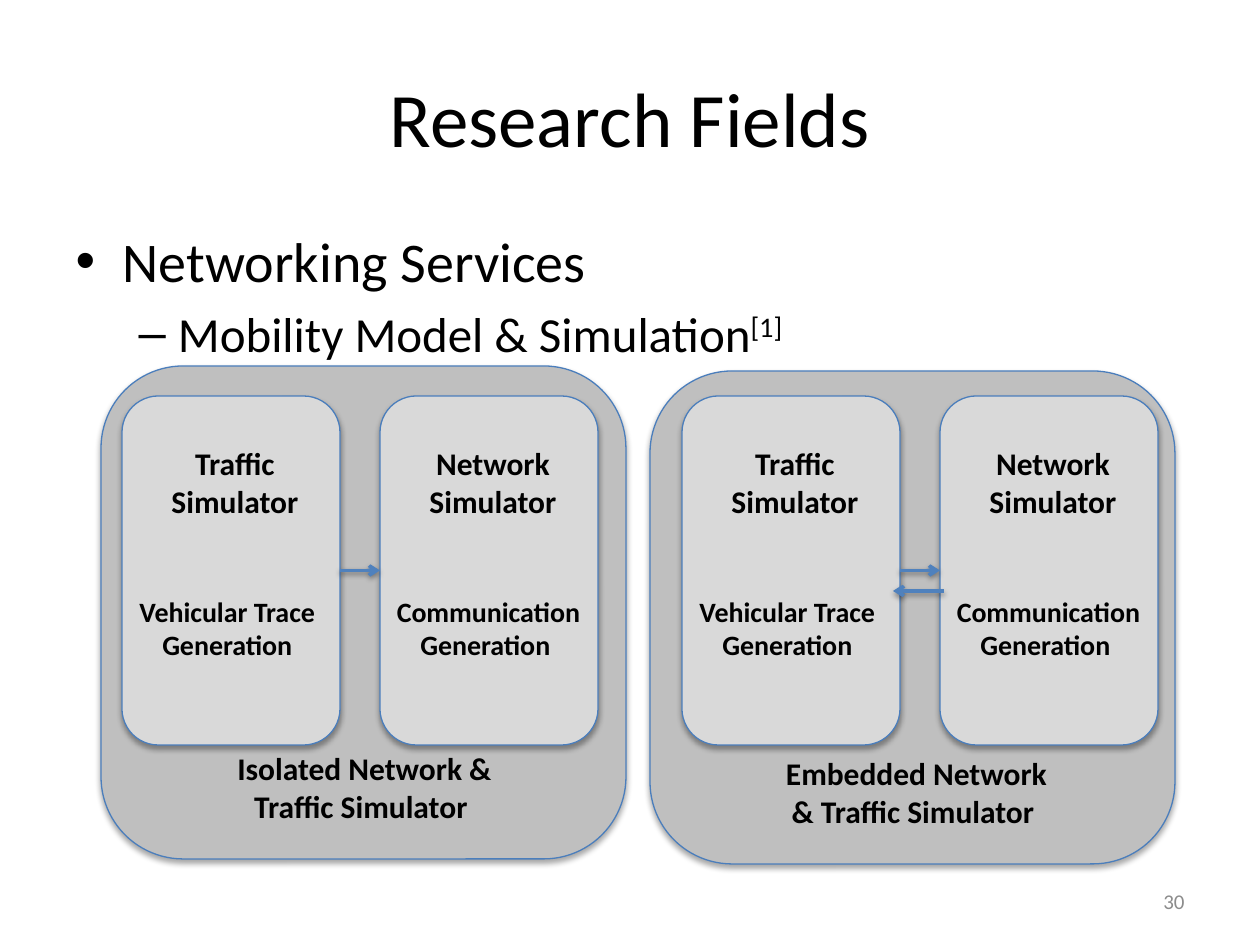
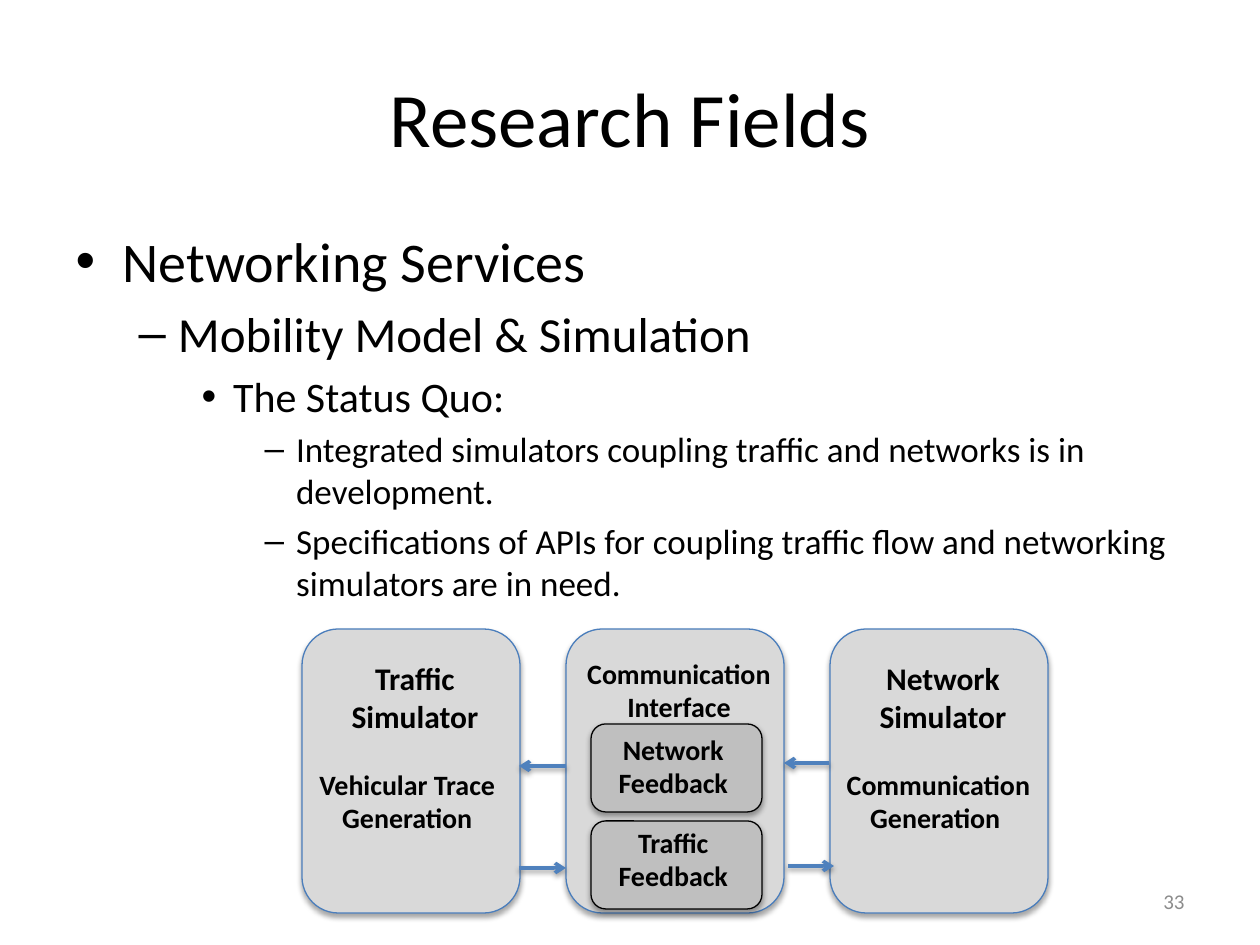
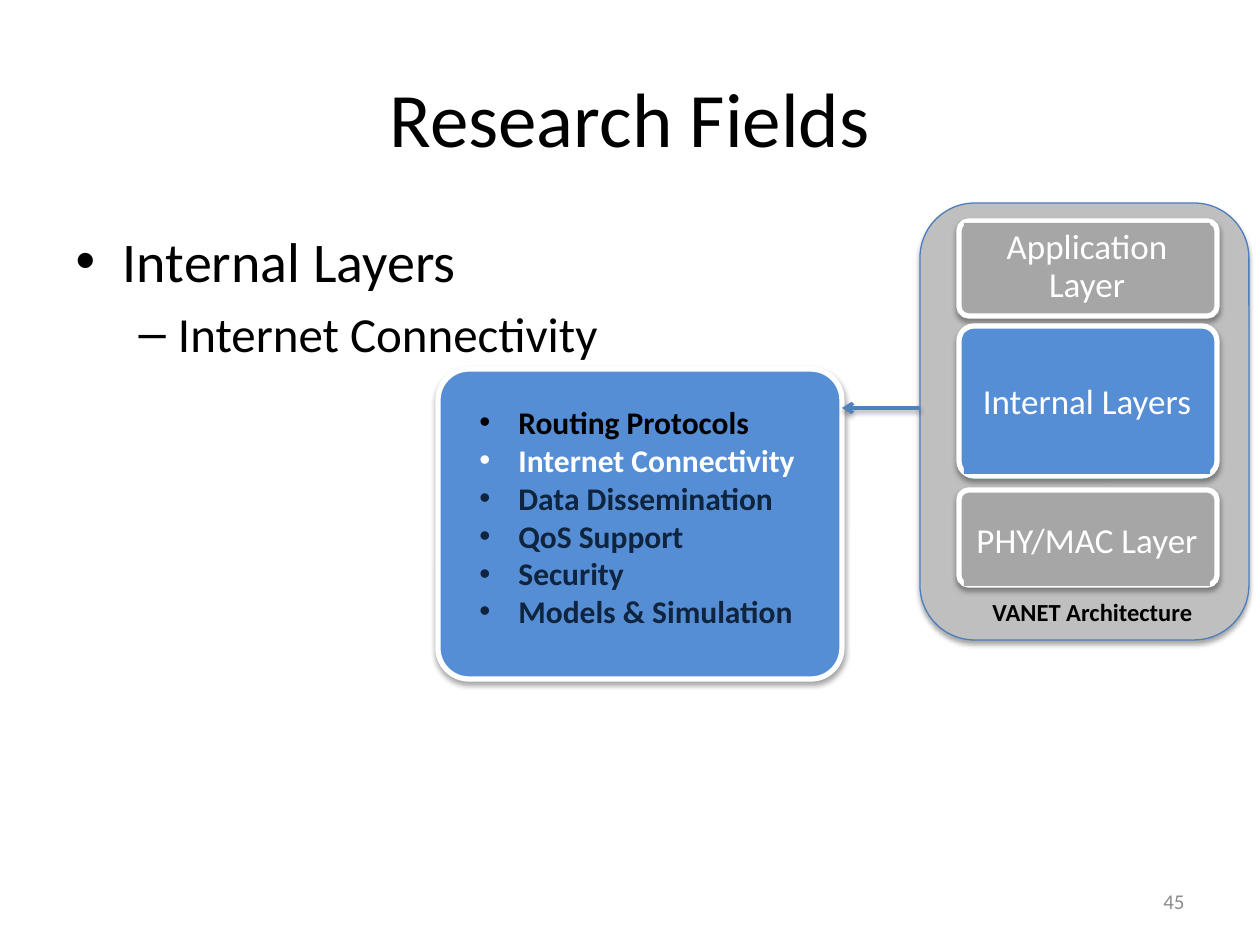
from lxml import etree
from pptx import Presentation
from pptx.dml.color import RGBColor
from pptx.enum.shapes import MSO_CONNECTOR, MSO_SHAPE
from pptx.enum.text import MSO_ANCHOR, PP_ALIGN
from pptx.oxml.ns import qn
from pptx.util import Emu, Pt

RECT, ROUNDED = MSO_SHAPE.RECTANGLE, MSO_SHAPE.ROUNDED_RECTANGLE
STRAIGHT = MSO_CONNECTOR.STRAIGHT
MIDDLE = MSO_ANCHOR.MIDDLE
LEFT, CENTER, RIGHT = PP_ALIGN.LEFT, PP_ALIGN.CENTER, PP_ALIGN.RIGHT
LEFT_SIDE, RIGHT_SIDE = 1, 3

BLACK = RGBColor(0x00, 0x00, 0x00)
WHITE = RGBColor(0xFF, 0xFF, 0xFF)
NAVY = RGBColor(0x0F, 0x24, 0x3E)
BLUE = RGBColor(0x55, 0x8E, 0xD5)
OUTLINE = RGBColor(0x4B, 0x7E, 0xBC)
ARROW = RGBColor(0x4F, 0x81, 0xBD)
PANEL_GRAY = RGBColor(0xBF, 0xBF, 0xBF)
CARD_GRAY = RGBColor(0xD9, 0xD9, 0xD9)
LAYER_GRAY = RGBColor(0xA6, 0xA6, 0xA6)
NUMBER_GRAY = RGBColor(0x8C, 0x8C, 0x8C)

FONT = "Calibri"
PX_PER_INCH = 126
TITLE_BOX = (63, 38, 1134, 158)
BODY_BOX = (63, 220, 1134, 624)
NUMBER_BOX = (903, 876, 294, 50)
BODY_SIZES = (32, 28, 24, 20)
CARD_WIDTH = 218


def px(n):
    return Emu(round(n * 914400 / PX_PER_INCH))


def style(font, size, color=BLACK, **formats):
    formats.update(name=FONT, size=Pt(size))
    for name, value in formats.items():
        setattr(font, name, value)
    font.color.rgb = color


def place(shape, box):
    for name, value in zip(("left", "top", "width", "height"), box):
        setattr(shape, name, px(value))


def add_shadow(effects, alpha, distance):
    """Put a soft downward shadow into an a:effectLst element."""
    shadow = etree.SubElement(effects, qn("a:outerShdw"), blurRad=str(Pt(3.1)),
                              dist=str(Pt(distance)), dir="5400000", rotWithShape="0")
    color = etree.SubElement(shadow, qn("a:srgbClr"), val="000000")
    etree.SubElement(color, qn("a:alpha"), val=str(alpha * 1000))


def add_box(s, box, fill, line=OUTLINE, line_width=0.75, corner=None):
    shape = s.shapes.add_shape(ROUNDED, *map(px, box))
    if corner is not None:
        shape.adjustments[0] = corner
    shape.fill.solid()
    shape.fill.fore_color.rgb = fill
    shape.line.color.rgb = line
    shape.line.width = Pt(line_width)
    shape.shadow.inherit = False
    add_shadow(shape._element.spPr.find(qn("a:effectLst")), 35, 1.8)
    return shape


def add_framed_box(s, box, fill):
    return add_box(s, box, fill, WHITE, 3, 0.1)


def add_text(s, box, text, size, color=BLACK, align=CENTER, wrap=True, bold=True):
    """Add a text box with one paragraph for each line of text."""
    tb = s.shapes.add_textbox(*map(px, box))
    tf = tb.text_frame
    tf.word_wrap = wrap
    tf.text = text
    for p in tf.paragraphs:
        p.alignment = align
        style(p.runs[0].font, size, color, bold=bold)
    return tb


def add_arrow(s, start, end, y):
    line = s.shapes.add_connector(STRAIGHT, px(start), px(y), px(end), px(y))
    line.line.color.rgb = ARROW
    line.line.width = Pt(2)
    spPr = line._element.spPr
    etree.SubElement(spPr.find(qn("a:ln")), qn("a:tailEnd"), type="arrow")
    add_shadow(etree.SubElement(spPr, qn("a:effectLst")), 38, 1.6)
    return line


def add_slide(prs, number, items):
    """Add a titled slide; items are (text, superscript) pairs or texts by level."""
    s = prs.slides.add_slide(prs.slide_layouts[1])
    title, body = s.shapes.title, s.placeholders[1]
    place(title, TITLE_BOX)
    title.text_frame.text = "Research Fields"
    title.text_frame.vertical_anchor = MIDDLE
    p = title.text_frame.paragraphs[0]
    p.alignment = CENTER
    style(p.runs[0].font, 44)

    place(body, BODY_BOX)
    tf = body.text_frame
    for i, (level, text, superscript) in enumerate(items):
        p = tf.add_paragraph() if i else tf.paragraphs[0]
        p.level = level
        if i == 0:
            p.space_before = Pt(0)
        for part in filter(None, (text, superscript)):
            r = p.add_run()
            r.text = part
            style(r.font, BODY_SIZES[level])
            if part == superscript:
                r._r.get_or_add_rPr().set("baseline", "30000")

    tb = add_text(s, NUMBER_BOX, str(number), 12, NUMBER_GRAY, RIGHT, bold=False)
    tb.text_frame.vertical_anchor = MIDDLE
    return s


def add_simulator(s, left, top, height, name, task, name_drop, task_drop):
    card = add_box(s, (left, top, CARD_WIDTH, height), CARD_GRAY)
    add_text(s, (left + 26, top + name_drop, 174, 90), name, 18)
    add_text(s, (left - 17, top + task_drop, 251, 80), task, 16)
    return card


def add_traffic_simulator(s, *layout):
    left, top, height, *drops = layout
    return add_simulator(s, left, top, height, "Traffic Simulator",
                         "Vehicular Trace \nGeneration ", *drops)


def add_network_simulator(s, *layout):
    left, top, height, *drops = layout
    return add_simulator(s, left, top, height, "Network\nSimulator",
                         "Communication Generation ", *drops)


def add_coupled_simulators(s, left, top, card_left, caption_left, caption):
    """Add a panel whose traffic simulator feeds its network simulator."""
    card_top, height, step = 396, 349, 258
    add_box(s, (left, top, 525, 493), PANEL_GRAY)
    layout = (card_top, height, 42, 192)
    traffic = add_traffic_simulator(s, card_left, *layout)
    network = add_network_simulator(s, card_left + step, *layout)
    link = add_arrow(s, card_left + CARD_WIDTH, card_left + step, card_top + height / 2)
    link.begin_connect(traffic, RIGHT_SIDE)
    link.end_connect(network, LEFT_SIDE)
    add_text(s, (caption_left, top + 377, 301, 127), caption, 18)


def add_layer(s, top, height, label_top, label_height, text, fill):
    add_framed_box(s, (959, top, 258, height), fill)
    label = s.shapes.add_shape(RECT, *map(px, (964, label_top, 246, label_height)))
    label.shadow.inherit = False
    label.fill.solid()
    label.fill.fore_color.rgb = fill
    label.line.fill.background()
    tf = label.text_frame
    tf.word_wrap = True
    tf.vertical_anchor = MIDDLE
    for side in ("left", "top", "right", "bottom"):
        setattr(tf, f"margin_{side}", px(6))
    tf.text = text
    p = tf.paragraphs[0]
    p.alignment = CENTER
    p.line_spacing = 0.9
    style(p.runs[0].font, 20, WHITE)


def add_topic_list(s, box, topics):
    tb = add_text(s, box, "\n".join(text for text, _ in topics), 18, align=LEFT, wrap=False)
    for p, (_, color) in zip(tb.text_frame.paragraphs, topics):
        pPr = p._p.get_or_add_pPr()
        pPr.set("marL", str(px(39)))
        pPr.set("indent", str(px(-39)))
        etree.SubElement(pPr, qn("a:buFont"), typeface="Arial")
        etree.SubElement(pPr, qn("a:buChar"), char="•")
        p.runs[0].font.color.rgb = color


def build_simulator_types(prs):
    s = add_slide(prs, 30, [(0, "Networking Services", None),
                            (1, "Mobility Model & Simulation", "[1]")])
    add_coupled_simulators(s, 101, 366, 122, 214, "Isolated Network & Traffic Simulator ")
    add_coupled_simulators(s, 650, 371, 682, 766, "Embedded Network & Traffic Simulator ")
    add_arrow(s, 944, 893, 591)


def build_status_quo(prs):
    s = add_slide(prs, 33, [
        (0, "Networking Services", None),
        (1, "Mobility Model & Simulation", None),
        (2, "The Status Quo:", None),
        (3, "Integrated simulators coupling traffic and networks is in development.", None),
        (3, "Specifications of APIs for coupling traffic flow and networking "
            "simulators are in need.", None)])
    top, height = 629, 284
    traffic_left, interface_left, network_left = (302 + 264 * i for i in range(3))
    layout = (top, height, 24, 132)
    add_traffic_simulator(s, traffic_left, *layout)
    add_network_simulator(s, network_left, *layout)

    add_box(s, (interface_left, top, CARD_WIDTH, height), CARD_GRAY)
    add_text(s, (572, 650, 214, 80), "Communication Interface", 16)
    for box_top, text_top, source in ((821, 819, "Traffic"), (724, 726, "Network")):
        add_box(s, (591, box_top, 171, 88), PANEL_GRAY, BLACK)
        add_text(s, (551, text_top, 251, 80), f"{source} \nFeedback ", 16)

    for start, end, y in ((566, 519, 766), (829, 784, 763),
                          (519, 566, 868), (788, 834, 866)):
        add_arrow(s, start, end, y)


def build_internal_layers(prs):
    s = add_slide(prs, 45, [(0, "Internal Layers", None),
                            (1, "Internet Connectivity", None)])
    add_box(s, (920, 203, 329, 437), PANEL_GRAY)
    add_layer(s, 221, 95, 223, 88, "Application Layer", LAYER_GRAY)
    add_layer(s, 326, 150, 333, 141, "Internal Layers", BLUE)
    add_layer(s, 490, 95, 498, 88, "PHY/MAC Layer", LAYER_GRAY)
    add_text(s, (980, 591, 229, 43), "VANET Architecture", 14, align=LEFT, wrap=False)

    add_framed_box(s, (438, 369, 404, 310), BLUE)
    add_topic_list(s, (467, 397, 346, 242), [
        ("Routing Protocols", BLACK), ("Internet Connectivity", WHITE),
        ("Data Dissemination", NAVY), ("QoS Support", NAVY),
        ("Security", NAVY), ("Models & Simulation", NAVY)])
    add_arrow(s, 920, 842, 408)


def main():
    prs = Presentation()
    prs.slide_width, prs.slide_height = px(1260), px(945)
    build_simulator_types(prs)
    build_status_quo(prs)
    build_internal_layers(prs)
    prs.save("out.pptx")


if __name__ == "__main__":
    main()
